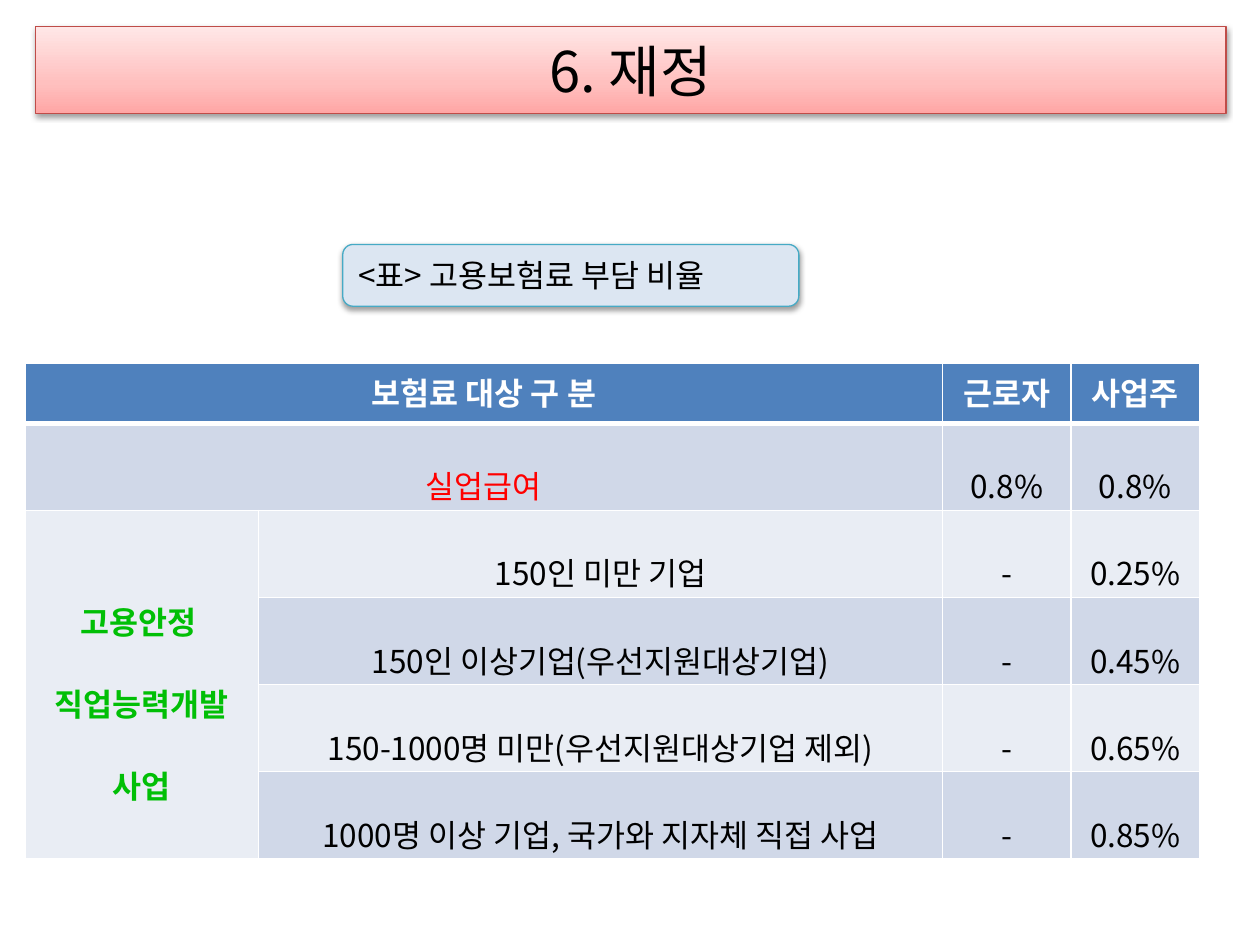
from dataclasses import dataclass

from lxml import etree
from pptx import Presentation
from pptx.dml.color import RGBColor
from pptx.enum.shapes import MSO_SHAPE as Shape
from pptx.enum.text import MSO_ANCHOR as Anchor, PP_ALIGN as Align
from pptx.oxml import parse_xml
from pptx.oxml.ns import nsdecls, qn
from pptx.util import Inches, Pt


@dataclass(frozen=True)
class Theme:
    font: str = "Noto Sans CJK KR"
    title_size: int = 32
    body_size: int = 18
    text: str = "000000"
    white: str = "FFFFFF"
    benefit: str = "FF0000"
    program: str = "01BF06"
    header: str = "4F81BD"
    bands: tuple = ("D0D8E8", "E9EDF4")
    title_line: str = "BF4C48"
    title_stops: tuple = ((0, "FFA6A5"), (35, "FFC0BF"), (100, "FFE7E7"))
    caption_fill: str = "DCE6F2"
    caption_line: str = "46AAC5"


class SlideBuilder:
    def __init__(self, slide, theme):
        self.slide = slide
        self.theme = theme

    def add_text(self, frame, text, size, color, bold=False, align=Align.CENTER, spacing=None):
        for index, line in enumerate(text.split("\n")):
            paragraph = frame.add_paragraph() if index else frame.paragraphs[0]
            paragraph.text = line
            paragraph.alignment = align
            if spacing:
                paragraph.line_spacing = spacing
            font = paragraph.font
            font.size, font.bold, font.name = Pt(size), bold, self.theme.font
            font.color.rgb = RGBColor.from_string(color)
            defaults = paragraph._p.pPr.find(qn("a:defRPr"))
            etree.SubElement(defaults, qn("a:ea"), typeface=self.theme.font)

    def box(self, kind, bounds, line, text, size, align, fill=None, stops=None):
        shape = self.slide.shapes.add_shape(kind, *map(Inches, bounds))
        shape.shadow.inherit = False
        if stops:
            shape.fill.gradient()
            gradient = shape._element.spPr.find(qn("a:gradFill"))
            gradient.find(qn("a:lin")).set("ang", "16200000")
            stop_list = gradient.find(qn("a:gsLst"))
            stop_list.clear()
            for position, color in stops:
                stop = etree.SubElement(stop_list, qn("a:gs"), pos=str(position * 1000))
                etree.SubElement(stop, qn("a:srgbClr"), val=color)
        else:
            shape.fill.solid()
            shape.fill.fore_color.rgb = RGBColor.from_string(fill)
        shape.line.color.rgb = RGBColor.from_string(line)
        shape.line.width = Pt(0.75)
        effects = shape._element.spPr.find(qn("a:effectLst"))
        effects.append(parse_xml(
            f'<a:outerShdw {nsdecls("a")} blurRad="40000" dist="20000" dir="5400000" '
            'rotWithShape="0"><a:srgbClr val="000000"><a:alpha val="38000"/>'
            '</a:srgbClr></a:outerShdw>'))
        frame = shape.text_frame
        frame.word_wrap = True
        frame.vertical_anchor = Anchor.MIDDLE
        self.add_text(frame, text, size, self.theme.text, align=align)

    def borders(self, cell, row):
        widths = {"L": 1, "R": 1, "T": 3 if row == 1 else 1, "B": 3 if row == 0 else 1}
        for side, width in widths.items():
            cell._tc.get_or_add_tcPr().append(parse_xml(
                f'<a:ln{side} {nsdecls("a")} w="{Pt(width)}"><a:solidFill>'
                f'<a:srgbClr val="{self.theme.white}"/></a:solidFill></a:ln{side}>'))

    def table(self, bounds, widths, heights, rows, merges, accents):
        theme = self.theme
        table = self.slide.shapes.add_table(
            len(rows), len(widths), *map(Inches, bounds)).table
        for column, width in zip(table.columns, widths):
            column.width = Inches(width)
        for row, height in zip(table.rows, heights):
            row.height = Inches(height)
        for first, last in merges:
            table.cell(*first).merge(table.cell(*last))

        for r, values in enumerate(rows):
            for c, text in enumerate(values):
                cell = table.cell(r, c)
                self.borders(cell, r)
                fill = theme.bands[(r - 1) % 2] if r else theme.header
                cell.fill.solid()
                cell.fill.fore_color.rgb = RGBColor.from_string(fill)
                if r:
                    cell.vertical_anchor = Anchor.MIDDLE
                    cell.margin_left = cell.margin_right = Inches(0.07)
                    cell.margin_top = cell.margin_bottom = Inches(0.02)
                if text:
                    color, bold = accents.get(
                        (r, c), (theme.text, False) if r else (theme.white, True))
                    self.add_text(cell.text_frame, text, theme.body_size, color, bold,
                                  spacing=1.8 if r else None)


def main():
    theme = Theme()
    presentation = Presentation()
    presentation.slide_width, presentation.slide_height = Inches(10), Inches(7.5)
    slide = presentation.slides.add_slide(presentation.slide_layouts[6])
    builder = SlideBuilder(slide, theme)

    # Title bar
    builder.box(Shape.RECTANGLE, (0.28, 0.21, 9.45, 0.69), theme.title_line,
                "6. 재정", theme.title_size, Align.CENTER, stops=theme.title_stops)

    # Contribution rates
    rows = [
        ("보험료 대상 구 분", "", "근로자", "사업주"),
        ("실업급여", "", "0.8%", "0.8%"),
        ("고용안정 \n직업능력개발\n사업", "150인 미만 기업", "-", "0.25%"),
        ("", "150인 이상기업(우선지원대상기업)", "-", "0.45%"),
        ("", "150-1000명 미만(우선지원대상기업 제외)", "-", "0.65%"),
        ("", "1000명 이상 기업, 국가와 지자체 직접 사업", "-", "0.85%"),
    ]
    builder.table(
        (0.2, 2.88, 9.33, 3.37), (1.85, 5.43, 1.02, 1.02),
        [0.48, 0.38] + [0.44] * 4, rows,
        merges=[((0, 0), (0, 1)), ((1, 0), (1, 1)), ((2, 0), (5, 0))],
        accents={(1, 0): (theme.benefit, False), (2, 0): (theme.program, True)})

    # Table caption
    builder.box(Shape.ROUNDED_RECTANGLE, (2.72, 1.94, 3.62, 0.49), theme.caption_line,
                "<표> 고용보험료 부담 비율", theme.body_size, Align.LEFT,
                fill=theme.caption_fill)

    presentation.save("out.pptx")


if __name__ == "__main__":
    main()
